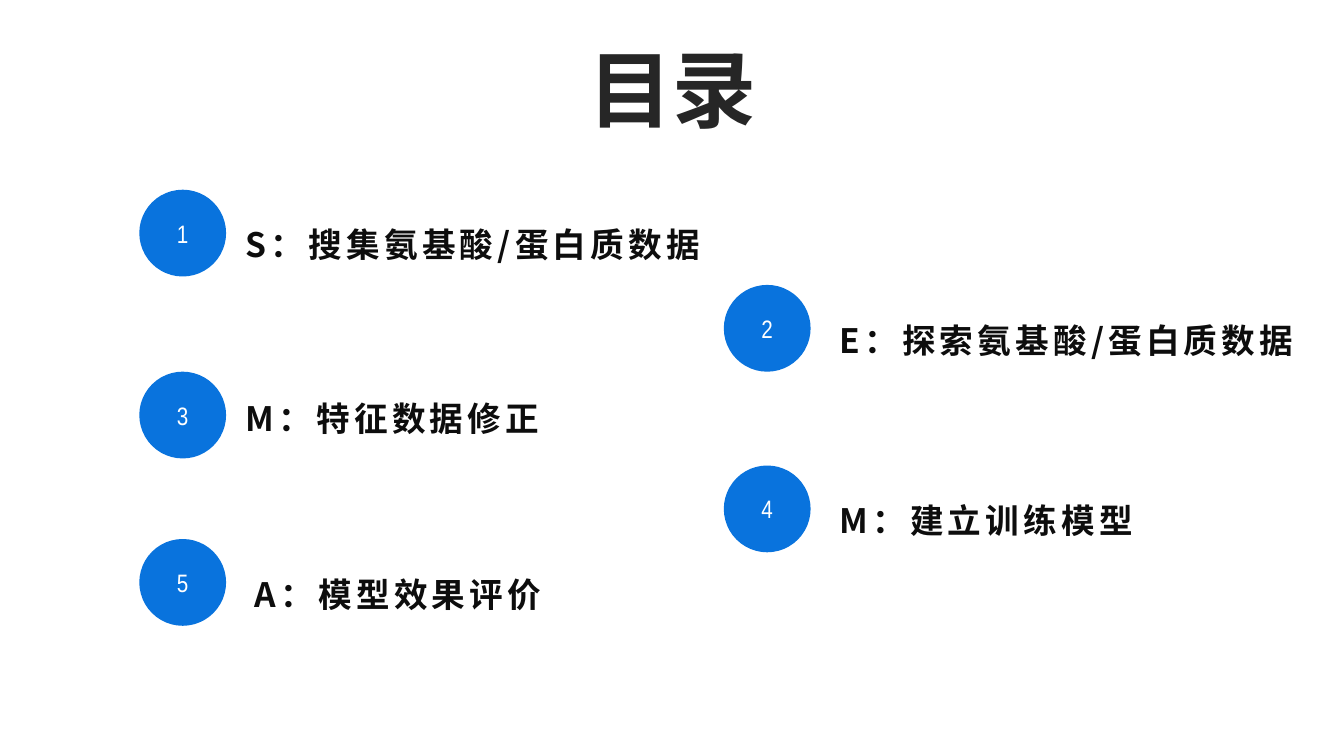
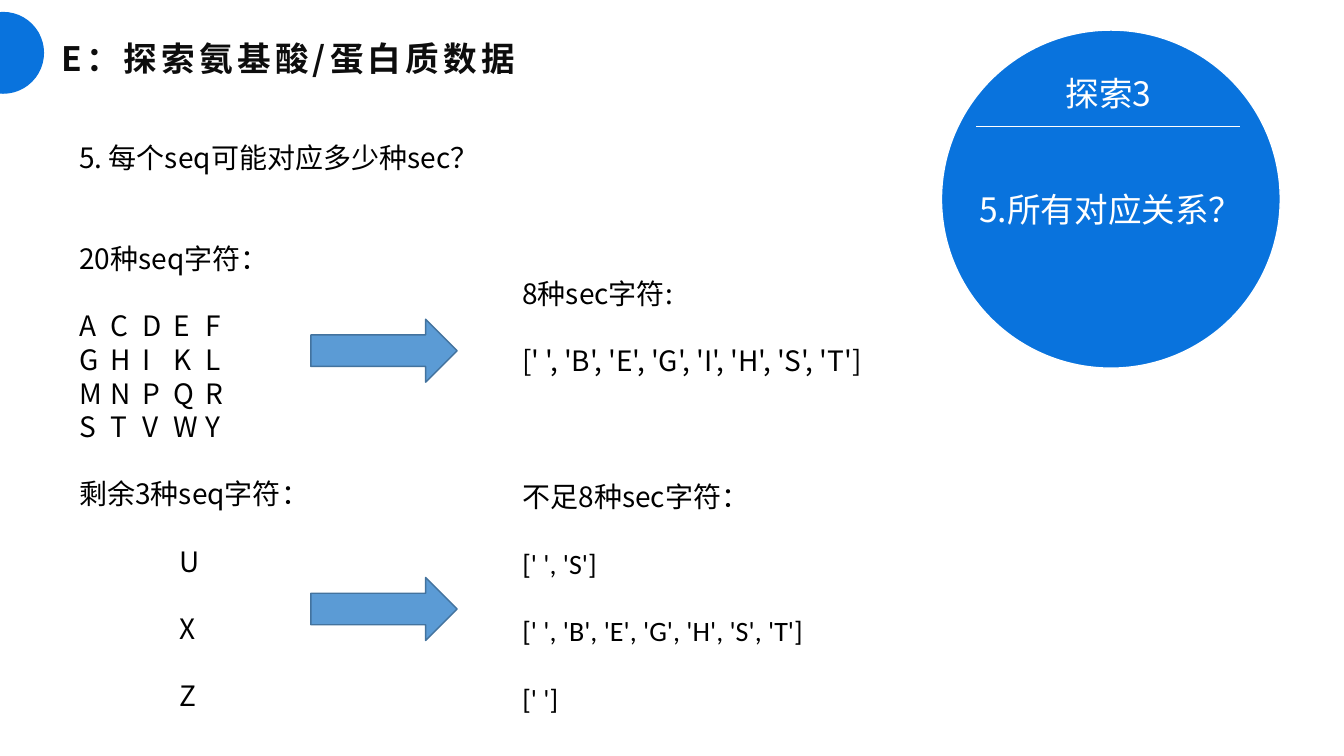
from dataclasses import dataclass

from lxml import etree
from pptx import Presentation
from pptx import util as u
from pptx.dml.color import RGBColor
from pptx.enum import shapes, text
from pptx.oxml import ns


@dataclass(frozen=True)
class Theme:
    blue: str = "0973DD"
    arrow_fill: str = "5B9BD5"
    arrow_line: str = "43739E"
    white: str = "FFFFFF"
    black: str = "000000"
    ink: str = "0D0D0D"
    title: str = "262626"
    cjk: str = "Noto Sans CJK SC"
    narrow: str = "Arial Narrow"
    code: str = "Calibri"
    title_size: int = 60
    heading_size: int = 24
    body_size: int = 20
    number_size: int = 18
    heading_line: int = 44
    body_line: int = 24


theme = Theme()
LEFT, CENTER = text.PP_ALIGN.LEFT, text.PP_ALIGN.CENTER
HEADING = dict(size=theme.heading_size, color=theme.ink, line=theme.heading_line, bold=True, tracking=3)
BODY = dict(size=theme.body_size, color=theme.black, line=theme.body_line)


def write(shape, words, size, color, line=None, font=theme.cjk, bold=False, tracking=0,
          align=LEFT, anchor=text.MSO_ANCHOR.TOP):
    """Fill a shape with one paragraph per line of words and return the paragraphs."""
    frame = shape.text_frame
    frame.word_wrap = True
    frame.auto_size = text.MSO_AUTO_SIZE.NONE
    frame.vertical_anchor = anchor
    frame.text = words
    for paragraph in frame.paragraphs:
        paragraph.alignment = align
        if line:
            paragraph.line_spacing = u.Pt(line)
        for run in paragraph.runs:
            run.font.size = u.Pt(size)
            run.font.bold = bold
            run.font.color.rgb = RGBColor.from_string(color)
            run.font.name = font
            properties = run.font._element
            etree.SubElement(properties, ns.qn("a:ea"), typeface=theme.cjk)
            if tracking:
                properties.set("spc", str(tracking * 100))
    return frame.paragraphs


def draw(container, kind, box, fill, line=None, width=1):
    """Add a flat preset shape; box is left, top, width, height in points."""
    shape = container.add_shape(kind, *map(u.Pt, box))
    shape.shadow.inherit = False
    shape.fill.solid()
    shape.fill.fore_color.rgb = RGBColor.from_string(fill)
    if line:
        shape.line.color.rgb = RGBColor.from_string(line)
        shape.line.width = u.Pt(width)
    else:
        shape.line.fill.background()
    return shape


presentation = Presentation()
presentation.slide_width, presentation.slide_height = u.Pt(960), u.Pt(540)
title_only = presentation.slide_layouts[5]
kinds = shapes.MSO_SHAPE
explore_heading = "E：探索氨基酸/蛋白质数据"

# Both slides: title placeholder
agenda, explore = [presentation.slides.add_slide(title_only) for _ in range(2)]
for slide, box in ((agenda, (233, 18, 494, 84)), (explore, (36.5, 8.5, 345, 96))):
    title = slide.shapes.title
    title.left, title.top, title.width, title.height = map(u.Pt, box)
write(agenda.shapes.title, "目录", theme.title_size, theme.title, 77, bold=True, align=CENTER)
write(explore.shapes.title, explore_heading, **HEADING)

# Agenda: numbered circles with their labels
columns = ((99.5, 168.5), (517, 592.5))
entries = (
    ("S：搜集氨基酸/蛋白质数据", 135.5, 141, 0),
    (explore_heading, 203.5, 209.5, 0),
    ("M：特征数据修正", 265.5, 265.5, 0),
    ("M：建立训练模型", 332.5, 338.5, 0),
    ("A：模型效果评价", 385, 391, 6.5),
)
for index, (label, circle_top, label_top, shift) in enumerate(entries):
    circle_left, label_left = columns[index % 2]
    circle = draw(agenda.shapes, kinds.OVAL, (circle_left, circle_top, 62, 62), theme.blue)
    write(circle, str(index + 1), theme.number_size, theme.white, font=theme.narrow,
          align=CENTER, anchor=text.MSO_ANCHOR.MIDDLE)
    box = agenda.shapes.add_textbox(*map(u.Pt, (label_left + shift, label_top, 362, 51)))
    write(box, label, **HEADING)

# Explore: circle cut by the left edge
draw(explore.shapes, kinds.OVAL, (-27, 8.5, 58.5, 58.5), theme.blue)

# Explore: text blocks, each line with the number of free lines above it
blocks = (
    ((49.5, 97, 463, 419), (
        ("5. 每个seq可能对应多少种sec？", 0),
        ("20种seq字符：", 2),
        ("A\tC\tD\tE\tF", 1),
        ("G\tH\tI\tK\tL", 0),
        ("M\tN\tP\tQ\tR", 0),
        ("S\tT\tV\tW\tY", 0),
        ("剩余3种seq字符：", 1),
        ("U", 1),
        ("X", 1),
        ("Z", 1),
    )),
    ((366, 194, 267, 80), (
        ("8种sec字符:", 0),
        ("[' ', 'B', 'E', 'G', 'I', 'H', 'S', 'T']", 1),
    )),
    ((366, 339, 306, 177), (
        ("不足8种sec字符：", 0),
        ("[' ', 'S']", 1),
        ("[' ', 'B', 'E', 'G', 'H', 'S', 'T']", 1),
        ("[' ']", 1),
    )),
)
for position, (bounds, lines) in enumerate(blocks):
    box = explore.shapes.add_textbox(*map(u.Pt, bounds))
    paragraphs = write(box, "\n".join(words for words, _ in lines), **BODY)
    for paragraph, (words, gap) in zip(paragraphs, lines):
        paragraph.space_before = u.Pt(gap * theme.body_line)
        properties = paragraph._p.get_or_add_pPr()
        if "\t" in words:
            tabs = etree.SubElement(properties, ns.qn("a:tabLst"))
            for column in range(1, 5):
                etree.SubElement(tabs, ns.qn("a:tab"), pos=str(u.Pt(22.5 * column)), algn="l")
        elif len(words) == 1:
            properties.set("marL", str(u.Pt(72)))
        elif position == 2 and words.startswith("["):
            paragraph.runs[0].font.name = theme.code

# Explore: arrows between the blocks
for top in (228, 412.5):
    draw(explore.shapes, kinds.RIGHT_ARROW, (222, top, 104.5, 45), theme.arrow_fill, theme.arrow_line)

# Explore: topic badge
badge = explore.shapes.add_group_shape().shapes
draw(badge, kinds.OVAL, (672.5, 21.5, 242, 241.5), theme.blue, theme.white)
for words, bounds, line in (
    ("探索3", (742.5, 47.5, 98.5, 36), 30),
    ("5.所有对应关系？", (692, 116.5, 203, 51), theme.heading_line),
):
    label = draw(badge, kinds.RECTANGLE, bounds, theme.blue)
    label.text_frame.margin_left = label.text_frame.margin_right = 0
    write(label, words, theme.heading_size, theme.white, line, align=CENTER)
rule = badge.add_connector(shapes.MSO_CONNECTOR.STRAIGHT, *map(u.Pt, (697.5, 90, 885.5, 90)))
rule.line.color.rgb = RGBColor.from_string(theme.white)
rule.line.width = u.Pt(0.5)
etree.SubElement(rule._element.spPr, ns.qn("a:effectLst"))

presentation.save("out.pptx")
